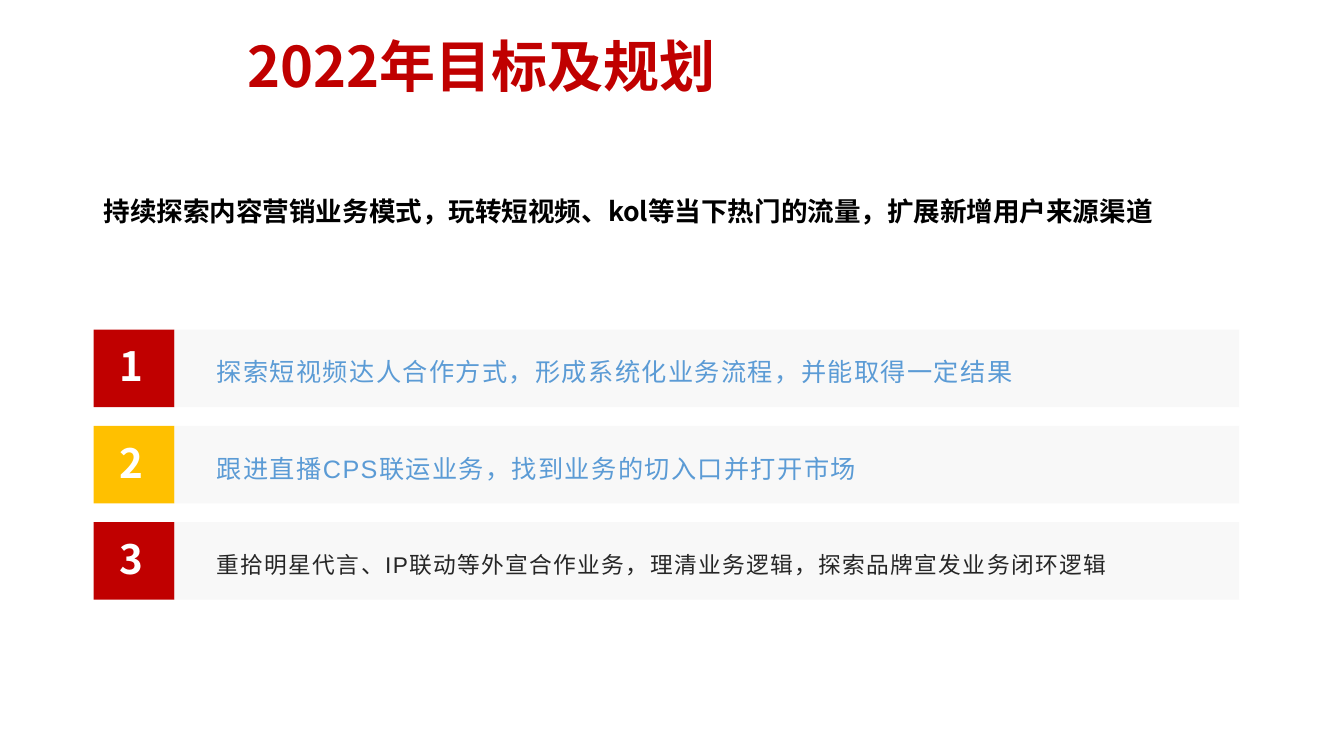
from lxml.etree import SubElement
from pptx import Presentation
from pptx.dml.color import RGBColor
from pptx.enum.shapes import MSO_SHAPE
from pptx.enum.text import MSO_ANCHOR
from pptx.oxml.ns import qn
from pptx.util import Inches, Pt

TITLE = "2022年目标及规划"
SUMMARY = "持续探索内容营销业务模式，玩转短视频、kol等当下热门的流量，扩展新增用户来源渠道"
# goal text, badge colour, text style
GOALS = [
    ("探索短视频达人合作方式，形成系统化业务流程，并能取得一定结果", "red", "goal"),
    ("跟进直播CPS联运业务，找到业务的切入口并打开市场", "amber", "goal"),
    ("重拾明星代言、IP联动等外宣合作业务，理清业务逻辑，探索品牌宣发业务闭环逻辑", "red", "long_goal"),
]

CJK = "Noto Sans CJK SC"
THEME = {
    "colors": {
        "red": "C00000", "amber": "FFC000", "band": "F2F2F2", "black": "000000",
        "white": "FFFFFF", "blue": "5B9BD5", "gray": "262626",
    },
    "styles": {
        "title": {"size": 40, "name": CJK, "color": "red", "bold": True},
        "summary": {"size": 19, "name": CJK, "color": "black", "bold": True},
        "number": {"size": 28.8, "name": CJK, "color": "white", "bold": True},
        "goal": {"size": 18, "name": "Arial", "color": "blue", "bold": False},
        "long_goal": {"size": 16.2, "name": "Arial", "color": "gray", "bold": False},
    },
}

LEFT, TOP, PITCH = 0.93, 3.27, 0.955
ROW_HEIGHT, BADGE_WIDTH, BAND_WIDTH = 0.77, 0.8, 10.56


def color(name):
    return RGBColor.from_string(THEME["colors"][name])


def add_text(slide, text, style, box, wrap=True, anchor=MSO_ANCHOR.TOP,
             line_spacing=None, tracking=None):
    """Add a one-paragraph text box; tracking is letter spacing in points."""
    frame = slide.shapes.add_textbox(*map(Inches, box)).text_frame
    for key, value in {"word_wrap": wrap, "vertical_anchor": anchor}.items():
        setattr(frame, key, value)
    paragraph = frame.paragraphs[0]
    if line_spacing:
        paragraph.line_spacing = line_spacing
    run = paragraph.add_run()
    run.text = text
    look = THEME["styles"][style]
    font_values = {"size": Pt(look["size"]), "name": look["name"], "bold": look["bold"]}
    for key, value in font_values.items():
        setattr(run.font, key, value)
    run.font.color.rgb = color(look["color"])
    properties = run.font._element
    SubElement(properties, qn("a:ea")).set("typeface", CJK)
    if tracking:
        properties.set("spc", str(tracking * 100))


def add_block(slide, fill, box, opacity=None):
    shape = slide.shapes.add_shape(MSO_SHAPE.RECTANGLE, *map(Inches, box))
    shape.shadow.inherit = False
    shape.line.fill.background()
    shape.fill.solid()
    shape.fill.fore_color.rgb = color(fill)
    if opacity:
        fill_color = shape._element.spPr.find(qn("a:solidFill"))[0]
        SubElement(fill_color, qn("a:alpha")).set("val", str(opacity * 1000))


def add_goal(slide, number, goal, badge, style):
    top = TOP + (number - 1) * PITCH
    add_block(slide, badge, (LEFT, top, BADGE_WIDTH, ROW_HEIGHT))
    add_block(slide, "band", (LEFT + BADGE_WIDTH, top, BAND_WIDTH, ROW_HEIGHT), opacity=50)
    add_text(slide, goal, style, (2.05, top + 0.11, 9.92, 0.56),
             anchor=MSO_ANCHOR.MIDDLE, line_spacing=1.2, tracking=1)
    add_text(slide, str(number), "number", (1.09, top + 0.07, 0.47, 0.64), wrap=False)


def main():
    presentation = Presentation()
    presentation.slide_width, presentation.slide_height = Inches(13.33), Inches(7.5)
    slide = presentation.slides.add_slide(presentation.slide_layouts[6])
    add_text(slide, TITLE, "title", (2.36, 0.26, 9.81, 0.96))
    add_text(slide, SUMMARY, "summary", (LEFT, 1.88, 11.66, 0.42))
    for number, (goal, badge, style) in enumerate(GOALS, start=1):
        add_goal(slide, number, goal, badge, style)
    presentation.save("out.pptx")


if __name__ == "__main__":
    main()
